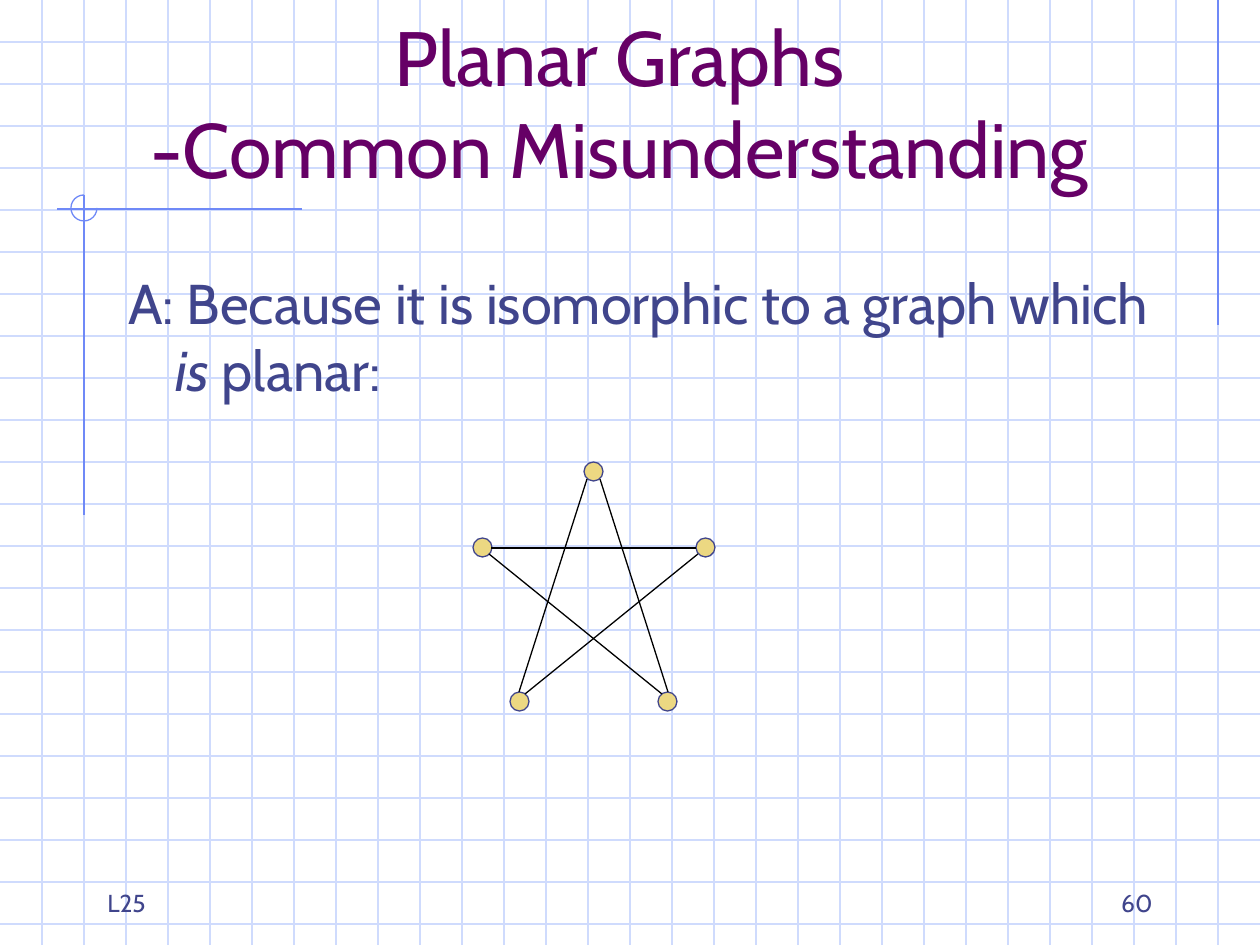
from lxml import etree
from pptx import Presentation
from pptx.dml.color import RGBColor
from pptx.enum.shapes import MSO_CONNECTOR, MSO_SHAPE
from pptx.enum.text import MSO_ANCHOR, PP_ALIGN
from pptx.oxml.ns import qn
from pptx.util import Pt

STRAIGHT = MSO_CONNECTOR.STRAIGHT
ARC, OVAL = MSO_SHAPE.ARC, MSO_SHAPE.OVAL
TOP, BOTTOM = MSO_ANCHOR.TOP, MSO_ANCHOR.BOTTOM
LEFT, CENTER, RIGHT = PP_ALIGN.LEFT, PP_ALIGN.CENTER, PP_ALIGN.RIGHT

PX = 914400 / 126
WIDTH, HEIGHT, GRID = 1260, 945, 42
NODE, CIRCLE, HANGING = 19, 26, 47
FONT = "Cabin"
COLORS = {
    "grid": "CFDBFD",
    "frame": "6F89F7",
    "text": "40458C",
    "title": "660066",
    "node": "ECD882",
    "edge": "000000",
}


def px(*lengths):
    return [round(length * PX) for length in lengths]


def add_line(ends, color):
    line = page.shapes.add_connector(STRAIGHT, *px(*ends))
    line.line.color.rgb = RGBColor.from_string(COLORS[color])
    line.line.width = Pt(0.75)
    etree.SubElement(line._element.spPr, qn("a:effectLst"))


deck = Presentation()
deck.slide_width, deck.slide_height = px(WIDTH, HEIGHT)
page = deck.slides.add_slide(deck.slide_layouts[6])

for y in range(GRID, HEIGHT, GRID):
    add_line((0, y, WIDTH, y), "grid")
for x in range(GRID, WIDTH, GRID):
    add_line((x, 0, x, HEIGHT), "grid")

for ends in [(1218, 0, 1218, 325), (302, 209, 57, 209), (84, 195, 84, 515)]:
    add_line(ends, "frame")

arc = page.shapes.add_shape(ARC, *px(71, 195, CIRCLE, CIRCLE))
arc.adjustments[0] = 0
arc.adjustments[1] = 162
arc.shadow.inherit = False
arc.fill.background()
arc.line.color.rgb = RGBColor.from_string(COLORS["frame"])
arc.line.width = Pt(0.75)

texts = [
    ((95, 861, 262, 63), ["L25"], 14, "text", LEFT, BOTTOM),
    ((903, 861, 262, 63), ["60"], 14, "text", RIGHT, BOTTOM),
    ((84, 42, 1071, 158), ["Planar Graphs\v-Common Misunderstanding"],
     44, "title", CENTER, BOTTOM),
    ((116, 262, 1071, 567),
     ["A: Because it is isomorphic to a graph which ", "is", " planar:"],
     32, "text", LEFT, TOP),
]
for place, pieces, size, color, align, anchor in texts:
    box = page.shapes.add_textbox(*px(*place))
    frame = box.text_frame
    frame.word_wrap = True
    frame.vertical_anchor = anchor
    para = frame.paragraphs[0]
    para.text = pieces[0]
    for piece in pieces[1:]:
        para.add_run().text = piece
    para.alignment = align
    for span in para.runs:
        span.font.name = FONT
        span.font.size = Pt(size)
        span.font.color.rgb = RGBColor.from_string(COLORS[color])

indent, = px(HANGING)
para_properties = para._p.get_or_add_pPr()
para_properties.set("marL", str(indent))
para_properties.set("indent", str(-indent))
para.runs[1].font.italic = True

for x, y in [(473, 538), (696, 538), (510, 692), (658, 692), (584, 462)]:
    node = page.shapes.add_shape(OVAL, *px(x, y, NODE, NODE))
    node.shadow.inherit = False
    node.fill.solid()
    node.fill.fore_color.rgb = RGBColor.from_string(COLORS["node"])
    node.line.color.rgb = RGBColor.from_string(COLORS["text"])
    node.line.width = Pt(0.75)

edges = [
    (491, 548, 696, 548),
    (525, 694, 698, 554),
    (662, 694, 489, 554),
    (587, 479, 519, 692),
    (600, 479, 668, 692),
]
for ends in edges:
    add_line(ends, "edge")

deck.save("out.pptx")
